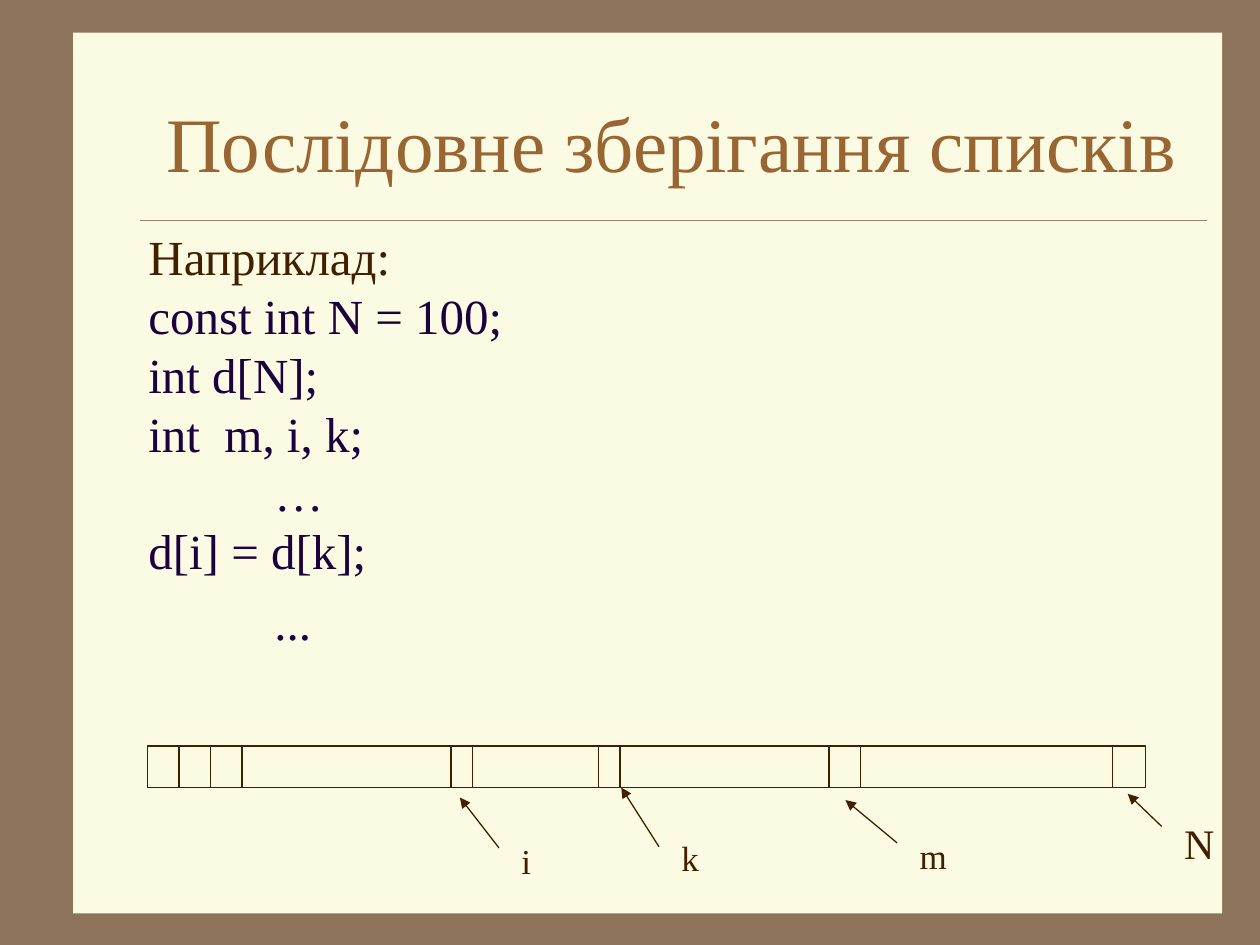
import pptx
import pptx.util
import pptx.dml.color
import pptx.enum.shapes
import pptx.enum.text
import pptx.oxml.ns
import lxml.etree

Inches = pptx.util.Inches
Pt = pptx.util.Pt
qn = pptx.oxml.ns.qn
KINDS = pptx.enum.shapes.MSO_SHAPE
CENTER = pptx.enum.text.PP_ALIGN.CENTER
DARK = "402000"
TOP, HIGH = 5.92, 0.33


def rgb(code):
    return pptx.dml.color.RGBColor.from_string(code)


def style(frame, size, color):
    frame.word_wrap = True
    for para in frame.paragraphs:
        for run in para.runs:
            run.font.name = "Times New Roman"
            run.font.size = Pt(size)
            run.font.color.rgb = rgb(color)


deck = pptx.Presentation()
deck.slide_width = Inches(10)
deck.slide_height = Inches(7.5)
slide = deck.slides.add_slide(deck.slide_layouts[6])
slide.background.fill.solid()
slide.background.fill.fore_color.rgb = rgb("8C735A")

# Page panel
panel = slide.shapes.add_shape(
    KINDS.RECTANGLE, Inches(0.58), Inches(0.26), Inches(9.12), Inches(6.99))
panel.shadow.inherit = False
panel.fill.solid()
panel.fill.fore_color.rgb = rgb("FBFAE2")
panel.line.fill.background()

# Title
box = slide.shapes.add_textbox(
    Inches(1.08), Inches(0.5), Inches(8.5), Inches(1.25))
title = box.text_frame
title.text = "Послідовне зберігання списків"
title.vertical_anchor = pptx.enum.text.MSO_ANCHOR.MIDDLE
title.paragraphs[0].alignment = CENTER
style(title, 44, "996633")

# Code sample, with a tab stop at one inch
box = slide.shapes.add_textbox(
    Inches(1.08), Inches(1.75), Inches(8.5), Inches(5.08))
body = box.text_frame
body.text = ("Наприклад:\vconst int N = 100;\vint d[N];\vint  m, i, k;"
             "\v\t…\vd[i] = d[k];\n\t...")
for para in body.paragraphs:
    props = para._p.get_or_add_pPr()
    tabs = lxml.etree.SubElement(props, qn("a:tabLst"))
    stop = lxml.etree.SubElement(tabs, qn("a:tab"))
    stop.set("pos", str(Inches(1)))
    stop.set("algn", "l")
style(body, 28, "1C013F")
body.paragraphs[0].runs[0].font.color.rgb = rgb(DARK)
body.paragraphs[1].space_before = Pt(7)

# Array outline and its third cell
for left, wide in [(1.17, 7.92), (1.67, 0.25)]:
    cell = slide.shapes.add_shape(
        KINDS.RECTANGLE, Inches(left), Inches(TOP), Inches(wide), Inches(HIGH))
    cell.shadow.inherit = False
    cell.fill.background()
    cell.line.color.rgb = rgb(DARK)
    cell.line.width = Pt(0.75)

# Rule under the title and the edges of the other cells
edges = [1.42, 3.58, 3.75, 4.75, 4.92, 6.58, 6.83, 8.83]
rules = [(1.11, 1.75, 9.58, 1.75, "A08366", 0.25)]
rules += [(edge, TOP, edge, TOP + HIGH, DARK, 0.75) for edge in edges]
for *ends, color, width in rules:
    link = slide.shapes.add_connector(
        pptx.enum.shapes.MSO_CONNECTOR.STRAIGHT, *[Inches(num) for num in ends])
    link.line.color.rgb = rgb(color)
    link.line.width = Pt(width)
    lxml.etree.SubElement(link._element.spPr, qn("a:effectLst"))

# Index callouts: name, left, top, width, height, size, arrow tip, arrow tail
marks = [
    ("i", 4.04, 6.61, 0.26, 0.44, 20, (3.65, 6.33), (3.96, 6.73)),
    ("k", 5.31, 6.59, 0.31, 0.44, 20, (4.93, 6.25), (5.23, 6.72)),
    ("m", 7.2, 6.57, 0.3, 0.44, 20, (6.71, 6.35), (7.12, 6.69)),
    ("N", 9.3, 6.44, 0.28, 0.5, 24, (8.95, 6.3), (9.22, 6.56)),
]
for name, left, top, wide, high, size, tip, tail in marks:
    mark = slide.shapes.add_shape(
        KINDS.LINE_CALLOUT_1_NO_BORDER,
        Inches(left), Inches(top), Inches(wide), Inches(high))
    for num, (across, down) in enumerate((tip, tail)):
        mark.adjustments[2 * num] = (down - top) / high
        mark.adjustments[2 * num + 1] = (across - left) / wide
    mark.shadow.inherit = False
    mark.fill.background()
    mark.line.color.rgb = rgb(DARK)
    mark.line.width = Pt(0.75)
    head = lxml.etree.SubElement(
        mark._element.spPr.find(qn("a:ln")), qn("a:headEnd"))
    head.set("type", "triangle")
    frame = mark.text_frame
    frame.text = name
    frame.vertical_anchor = pptx.enum.text.MSO_ANCHOR.TOP
    frame.paragraphs[0].alignment = CENTER
    style(frame, size, DARK)

deck.save("out.pptx")
